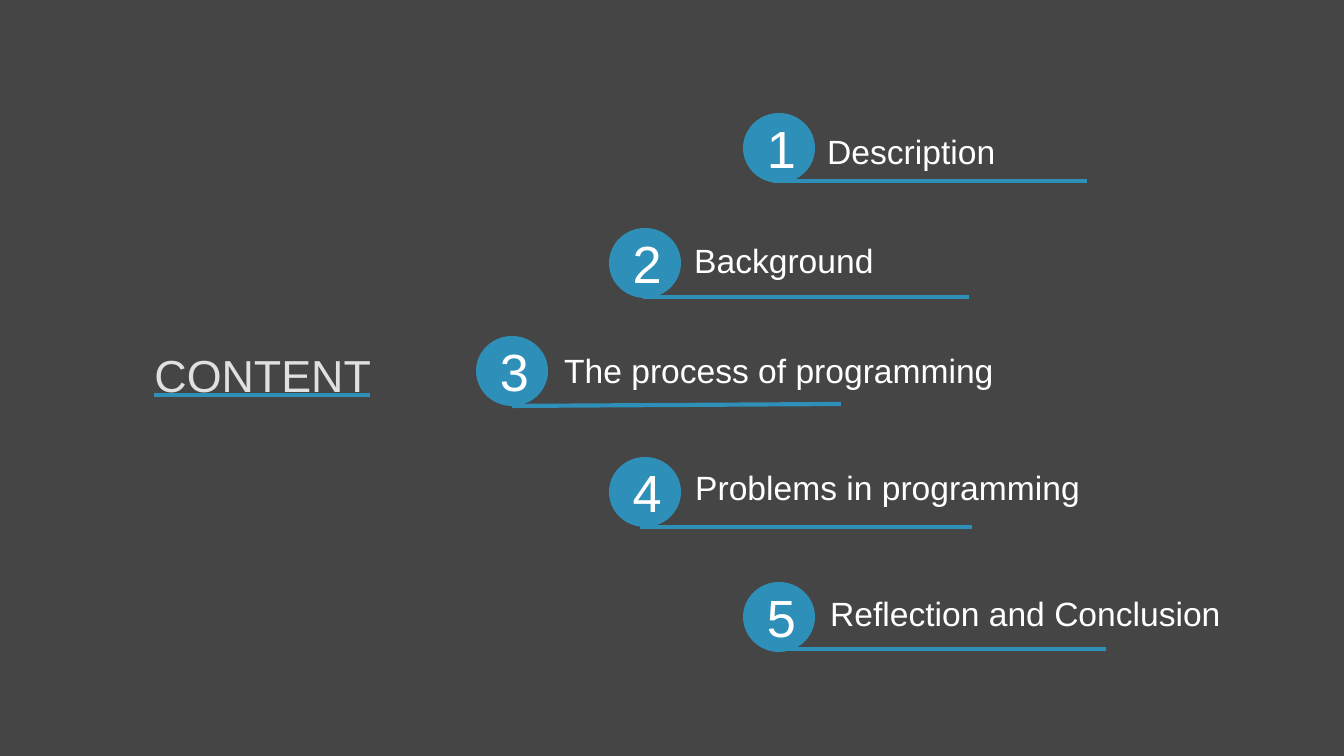
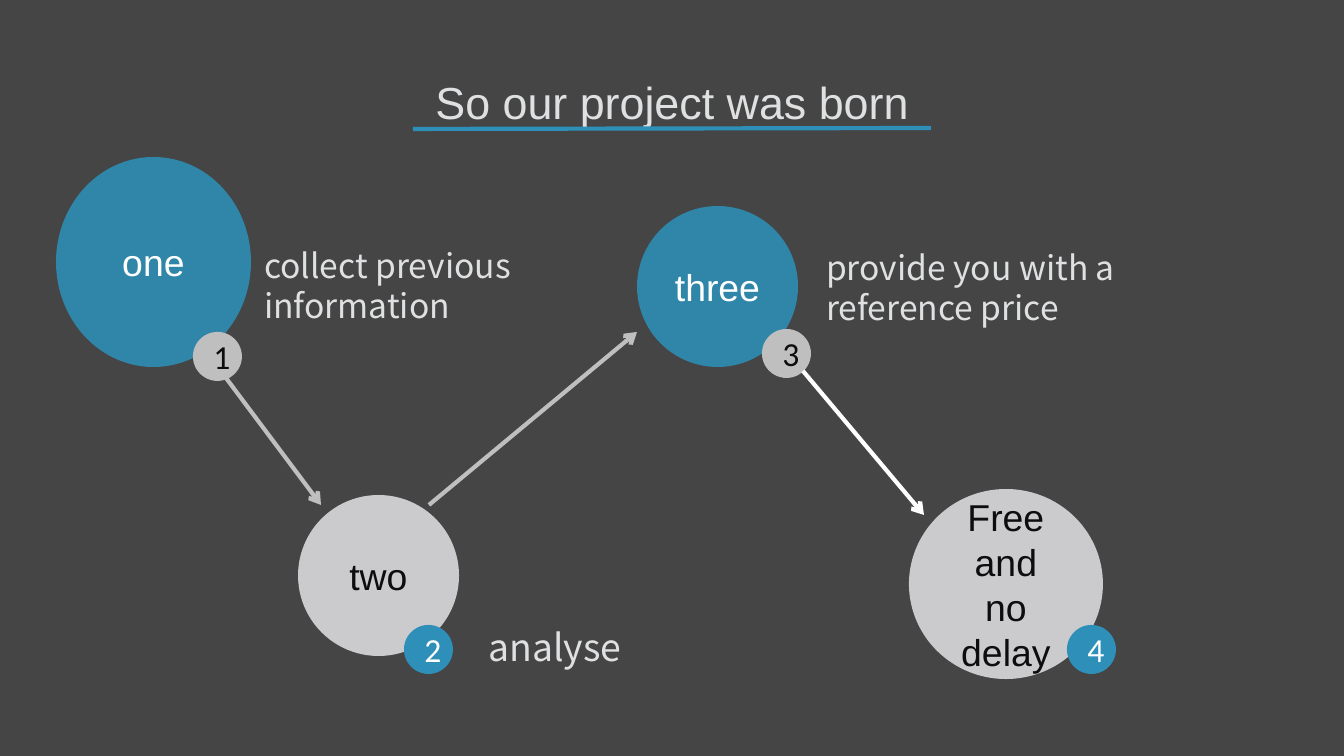
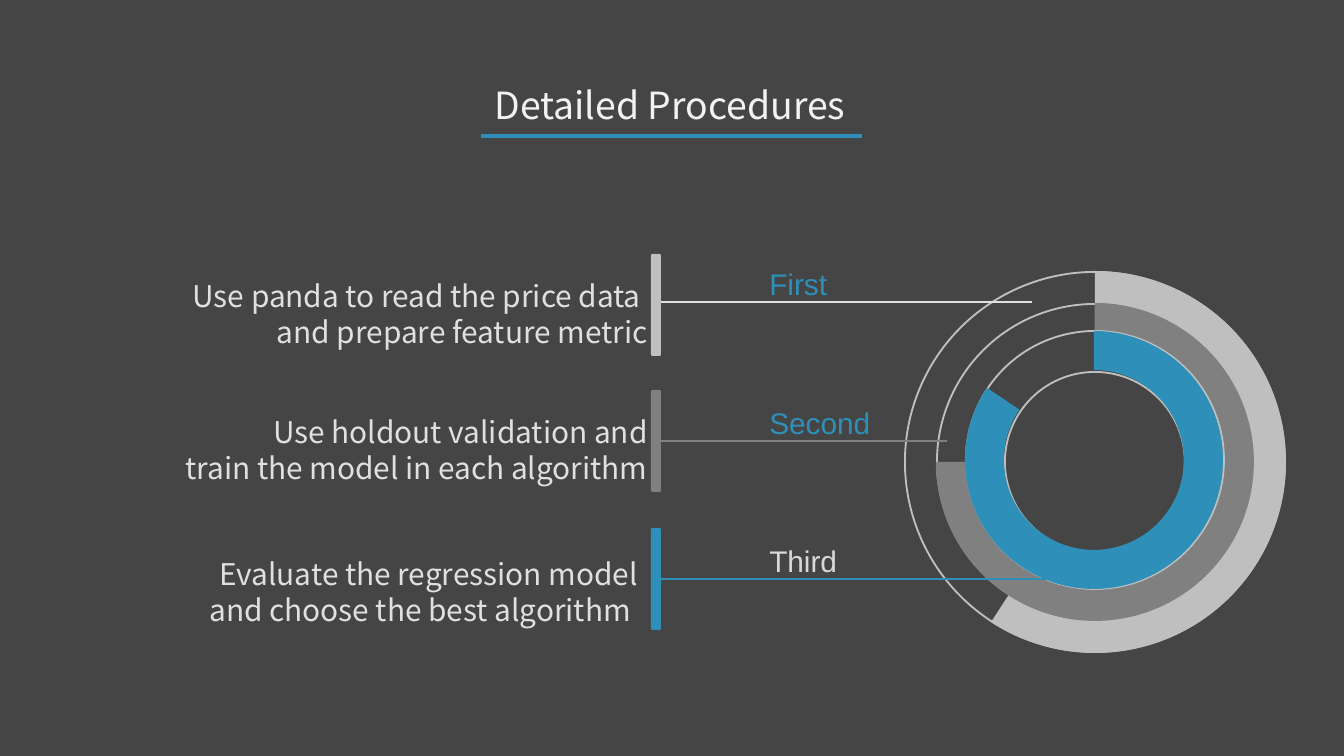
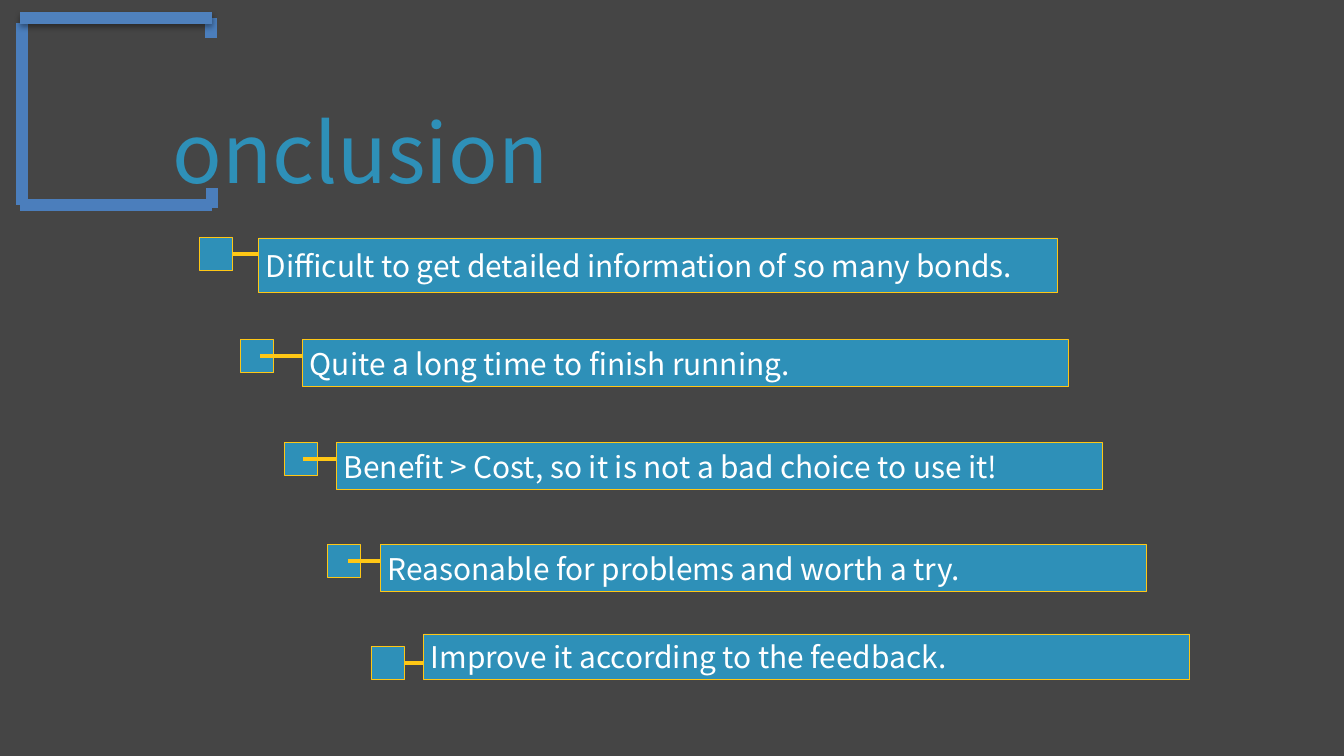
from lxml import etree
from pptx import Presentation
from pptx.dml.color import RGBColor
from pptx.enum.shapes import MSO_CONNECTOR, MSO_SHAPE
from pptx.enum.text import MSO_ANCHOR, MSO_AUTO_SIZE, PP_ALIGN
from pptx.oxml.ns import qn
from pptx.util import Emu, Pt

STRAIGHT = MSO_CONNECTOR.STRAIGHT
OVAL, RECTANGLE = MSO_SHAPE.OVAL, MSO_SHAPE.RECTANGLE
ROUNDED, DONUT, ARC = MSO_SHAPE.ROUNDED_RECTANGLE, MSO_SHAPE.DONUT, MSO_SHAPE.BLOCK_ARC
TOP, MIDDLE = MSO_ANCHOR.TOP, MSO_ANCHOR.MIDDLE
LEFT, CENTER, RIGHT = PP_ALIGN.LEFT, PP_ALIGN.CENTER, PP_ALIGN.RIGHT
NO_AUTOFIT = MSO_AUTO_SIZE.NONE
RIGHT_SIDE = 3
TITLE_ONLY = 5

DARK = RGBColor(0x45, 0x45, 0x45)
BLUE = RGBColor(0x2E, 0x90, 0xB8)
PALE = RGBColor(0xDF, 0xE0, 0xE2)
SILVER = RGBColor(0xBF, 0xBF, 0xBF)
GREY = RGBColor(0x80, 0x80, 0x80)
LIGHT = RGBColor(0xD9, 0xD9, 0xD9)
OFF_WHITE = RGBColor(0xF2, 0xF2, 0xF2)
WHITE = RGBColor(0xFF, 0xFF, 0xFF)
INK = RGBColor(0x0D, 0x0D, 0x0D)
YELLOW = RGBColor(0xFF, 0xC7, 0x15)
STEEL = RGBColor(0x4B, 0x7E, 0xBC)
STEEL_BRIGHT = RGBColor(0x4F, 0x81, 0xBD)

ARIAL, CALIBRI, NOTO = "Arial", "Calibri", "Noto Sans CJK SC"
PX_PER_INCH = 134.4


def px(length):
    return Emu(round(length * 914400 / PX_PER_INCH))


def write(shape, text, size, color, font=ARIAL, align=LEFT, anchor=TOP):
    frame = shape.text_frame
    frame.word_wrap = True
    frame.auto_size = NO_AUTOFIT
    frame.vertical_anchor = anchor
    frame.text = text
    for paragraph in frame.paragraphs:
        paragraph.alignment = align
        paragraph.font.name = font
        paragraph.font.size = Pt(size)
        paragraph.font.color.rgb = color
    return frame


def add_label(page, box, text, size, color, font=ARIAL, align=LEFT):
    label = page.shapes.add_textbox(*map(px, box))
    write(label, text, size, color, font, align)


def add_figure(page, kind, box, fill=None, line=None, width=1):
    figure = page.shapes.add_shape(kind, *map(px, box))
    figure.shadow.inherit = False
    if fill is None:
        figure.fill.background()
    else:
        figure.fill.solid()
        figure.fill.fore_color.rgb = fill
    if line is None:
        figure.line.fill.background()
    else:
        figure.line.color.rgb = line
        figure.line.width = Pt(width)
    return figure


def add_disc(page, box, fill, text, size, color, font=ARIAL):
    disc = add_figure(page, OVAL, box, fill)
    write(disc, text, size, color, font, CENTER, MIDDLE)
    return disc


def add_line(page, start, end, color=BLUE, width=2.25, arrow=False):
    line = page.shapes.add_connector(STRAIGHT, *map(px, start + end))
    line.line.color.rgb = color
    line.line.width = Pt(width)
    if arrow:
        etree.SubElement(line.line._get_or_add_ln(), qn("a:tailEnd"), type="arrow")
    etree.SubElement(line._element.spPr, qn("a:effectLst"))
    return line


def add_page(deck, title, box, size=24, color=PALE, font=ARIAL, align=LEFT):
    page = deck.slides.add_slide(deck.slide_layouts[TITLE_ONLY])
    holder = page.shapes.title
    holder.left, holder.top, holder.width, holder.height = map(px, box)
    write(holder, title, size, color, font, align)
    return page


# Contents: numbered discs in a fan, each with a label and an underline
def add_content_entry(page, number, disc, label, rule, text):
    add_disc(page, (*disc, 72, 70), BLUE, str(number), 28, WHITE)
    add_line(page, *rule)
    add_label(page, (*label, 520, 54), text, 18, WHITE)


def build_contents(deck):
    page = add_page(deck, "CONTENT", (141, 341, 259, 67))
    entries = [
        ((743, 113), (814, 124), ((773, 181), (1087, 181)), "Description"),
        ((609, 228), (681, 233), ((643, 297), (969, 297)), "Background"),
        ((476, 336), (551, 343), ((512, 406), (841, 404)), "The process of programming"),
        ((609, 457), (682, 460), ((640, 527), (972, 527)), "Problems in programming"),
        ((743, 582), (817, 586), ((773, 649), (1106, 649)), "Reflection and Conclusion"),
    ]
    for number, entry in enumerate(entries, 1):
        add_content_entry(page, number, *entry)
    add_line(page, (154, 395), (370, 395))


# Project: four steps joined by arrows
def add_step(page, number, box, text, badge, highlighted):
    fill, color = (BLUE, WHITE) if highlighted else (PALE, INK)
    disc = add_disc(page, box, fill, text, 20, color)
    shade = disc.fill._xPr.find(qn("a:solidFill"))[0]
    etree.SubElement(shade, qn("a:alpha"), val="87000")
    badge_fill, badge_color = (SILVER, INK) if highlighted else (BLUE, WHITE)
    add_disc(page, (*badge, 49, 49), badge_fill, str(number), 18, badge_color, CALIBRI)


def build_project(deck):
    page = add_page(deck, "So our project was born", (0, 68, 1344, 121), align=CENTER)
    add_line(page, (413, 129), (931, 128))
    steps = [
        ((56, 157, 195, 210), "one", (193, 332)),
        ((298, 495, 161, 161), "two", (404, 625)),
        ((637, 206, 161, 161), "three", (762, 329)),
        ((909, 489, 194, 190), "Free and no delay", (1067, 625)),
    ]
    for number, step in enumerate(steps, 1):
        add_step(page, number, *step, highlighted=number % 2 == 1)
    for start, end, color in [
        ((226, 378), (321, 505), SILVER),
        ((429, 505), (637, 332), SILVER),
        ((803, 371), (924, 515), WHITE),
    ]:
        add_line(page, start, end, color, arrow=True)
    for box, text, size in [
        ((251, 238, 314, 97), "collect previous information", 18),
        ((813, 240, 356, 97), "provide you with a reference price", 18),
        ((475, 618, 237, 62), "analyse", 20),
    ]:
        add_label(page, box, text, size, PALE, NOTO)


# Procedures: ring diagram and three rows pointing at it
def circle_box(center, radius):
    x, y = center
    return x - radius, y - radius, 2 * radius, 2 * radius


def add_sector(page, center, radius, thickness, end_angle, color):
    sector = add_figure(page, ARC, circle_box(center, radius), color)
    # One adjustment unit is 100000 steps of 1/60000 degree
    sector.adjustments[0] = 270 * 0.6
    sector.adjustments[1] = end_angle * 0.6
    sector.adjustments[2] = thickness / (2 * radius)


def add_rings(page, center):
    x, y = center
    inner = (x - 1, y - 2)
    add_sector(page, center, 191, 95, 123, SILVER)
    ring = add_figure(page, DONUT, circle_box(center, 190), line=SILVER)
    ring.adjustments[0] = 100 / 380
    add_figure(page, OVAL, circle_box(center, 158), line=SILVER)
    add_sector(page, center, 159, 62, 180, GREY)
    add_figure(page, OVAL, circle_box((x, y - 2), 129), line=SILVER)
    add_sector(page, inner, 129, 39, 214, BLUE)


def add_procedure(page, top, color, rule, text_box, text, name, name_color):
    rule_y, rule_end, rule_color = rule
    bar = add_figure(page, ROUNDED, (651, top, 10, 102), color)
    line = add_line(page, (661, rule_y), (rule_end, rule_y), rule_color, 0.75)
    if rule_y == top + 51:
        line.begin_connect(bar, RIGHT_SIDE)
    add_label(page, text_box, text, 16, PALE, NOTO, RIGHT)
    add_label(page, (756, rule_y - 43, 137, 50), name, 16, name_color)


def build_procedures(deck):
    page = add_page(deck, "Detailed Procedures", (481, 75, 405, 62), 20, OFF_WHITE, NOTO)
    add_line(page, (481, 136), (862, 136))
    add_rings(page, (1095, 462))
    add_procedure(page, 254, SILVER, (302, 1032, PALE), (61, 271, 600, 86),
                  "Use panda to read the price data \nand prepare feature metric",
                  "First", BLUE)
    add_procedure(page, 390, GREY, (441, 947, GREY), (61, 407, 600, 86),
                  "Use holdout validation and\ntrain the model in each algorithm",
                  "Second", BLUE)
    add_procedure(page, 528, BLUE, (579, 1052, BLUE), (51, 549, 600, 86),
                  "Evaluate the regression model\nand choose the best algorithm ",
                  "Third", LIGHT)


# Conclusion: large bracket as the initial, then stepped bars
def add_initial(page):
    for start, end in [
        ((22, 23), (22, 205)),
        ((211, 18), (211, 38)),
        ((212, 188), (212, 208)),
        ((212, 205), (20, 205)),
    ]:
        add_line(page, start, end, STEEL, 6)
    top_line = add_line(page, (212, 18), (20, 18), STEEL_BRIGHT, 6)
    effects = top_line._element.spPr.find(qn("a:effectLst"))
    shadow = etree.SubElement(effects, qn("a:outerShdw"), blurRad=str(Pt(3.1)),
                              dist=str(Pt(1.6)), dir="5400000", rotWithShape="0")
    shade = etree.SubElement(shadow, qn("a:srgbClr"), val="000000")
    etree.SubElement(shade, qn("a:alpha"), val="38000")


def add_finding(page, marker, line_start, bar, text, line_in_front):
    x, y = marker
    marker_box = (x, y, 33, 33)
    if line_in_front:
        add_figure(page, RECTANGLE, marker_box, BLUE, YELLOW, 0.5)
    add_line(page, (line_start, y + 16), (line_start + 798, y + 16), YELLOW, 1.75)
    if not line_in_front:
        add_figure(page, RECTANGLE, marker_box, BLUE, YELLOW, 0.5)
    panel = add_figure(page, RECTANGLE, bar, BLUE, YELLOW, 0.5)
    frame = write(panel, text, 16, WHITE, NOTO, LEFT, MIDDLE)
    frame.margin_left = px(7)
    frame.margin_top = frame.margin_right = frame.margin_bottom = 0


def build_conclusion(deck):
    page = add_page(deck, "onclusion", (159, 95, 818, 118), 44, BLUE, NOTO)
    add_initial(page)
    findings = [
        ((200, 238), 215, (259, 238, 799, 55),
         "Difficult to get detailed information of so many bonds.", False),
        ((241, 340), 260, (303, 340, 766, 47),
         "Quite a long time to finish running.", True),
        ((285, 443), 303, (337, 443, 766, 47),
         "Benefit > Cost, so it is not a bad choice to use it!", True),
        ((328, 545), 348, (381, 545, 766, 47),
         "Reasonable for problems and worth a try.", True),
        ((372, 647), 390, (424, 634, 766, 46),
         "Improve it according to the feedback.", False),
    ]
    for finding in findings:
        add_finding(page, *finding)


def main():
    deck = Presentation()
    deck.slide_width, deck.slide_height = px(1344), px(756)
    background = deck.slide_master.background.fill
    background.solid()
    background.fore_color.rgb = DARK
    build_contents(deck)
    build_project(deck)
    build_procedures(deck)
    build_conclusion(deck)
    deck.save("out.pptx")


if __name__ == "__main__":
    main()
